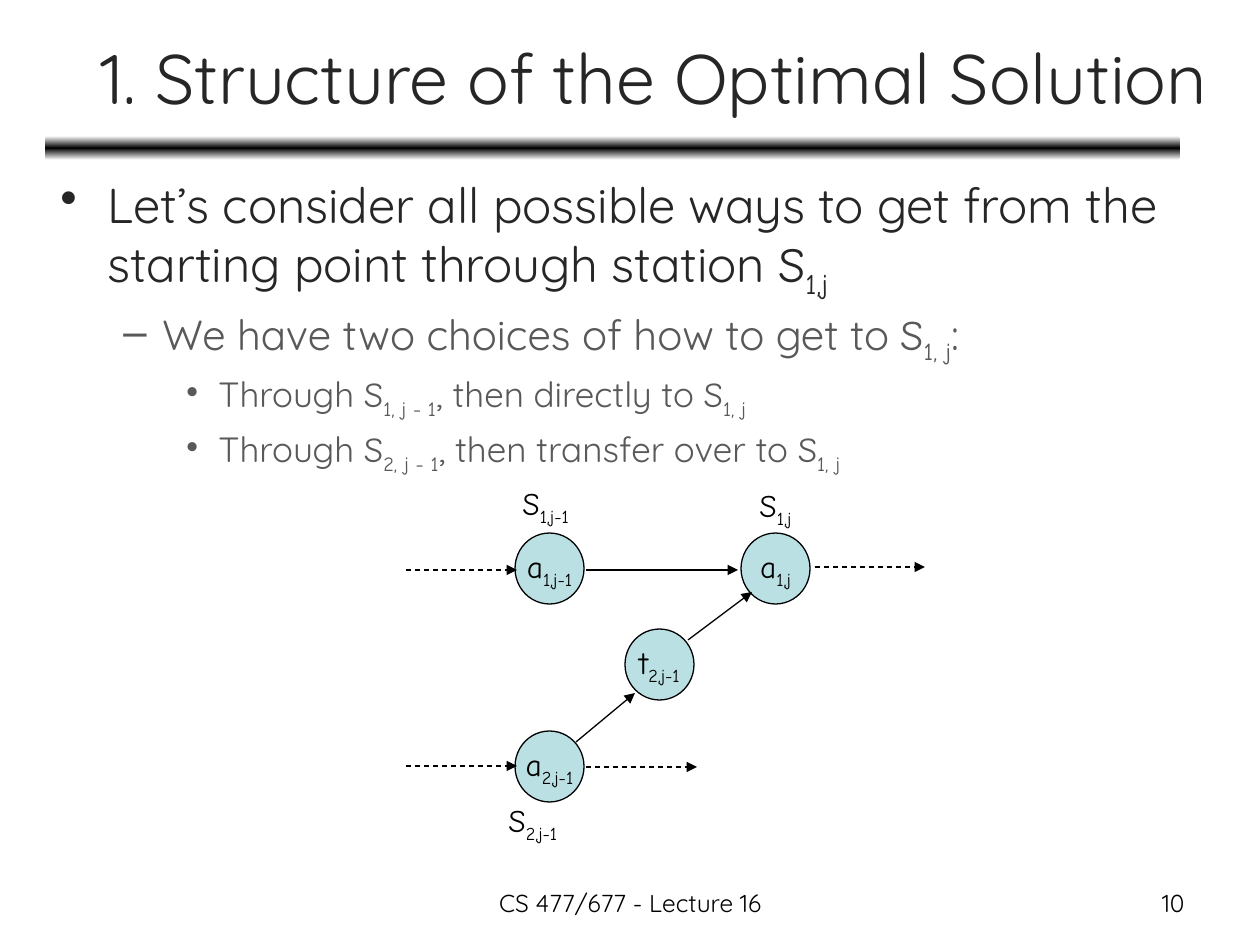
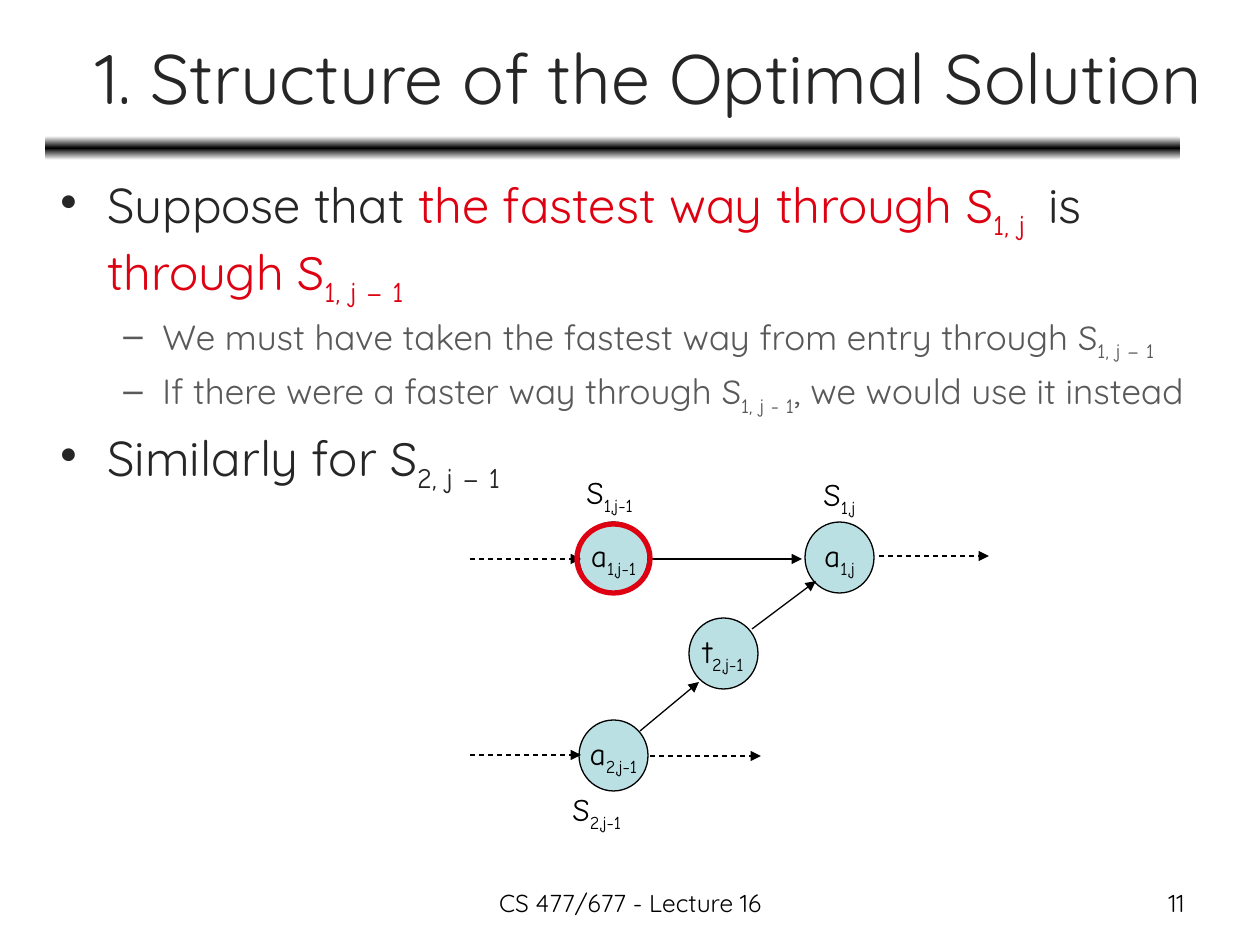
from copy import deepcopy
from dataclasses import dataclass
from typing import Optional

from pptx import Presentation, util as u
from pptx.dml.color import RGBColor
from pptx.enum import dml, shapes, text
from pptx.oxml.ns import qn
from lxml import etree

SCALE = 914400 / 126  # EMU in one pixel


@dataclass(frozen=True)
class Theme:
    """Colours, fonts and type sizes of the deck."""
    black: str = "000000"
    white: str = "FFFFFF"
    heading: str = "262626"
    detail: str = "595959"
    accent: str = "DD0111"
    node: str = "BBE0E3"
    body_font: str = "Quicksand"
    math_font: str = "Comic Neue"
    title_size: int = 40
    point_size: int = 28
    label_size: int = 18
    footer_size: int = 14
    thin: float = 0.75
    thick: float = 3


@dataclass(frozen=True)
class Span:
    """A piece of text in one style."""
    words: str
    color: Optional[str] = None
    math: bool = False
    sub: bool = False


THEME = Theme()
LEFT, CENTER, RIGHT = text.PP_ALIGN.LEFT, text.PP_ALIGN.CENTER, text.PP_ALIGN.RIGHT
# Left margin, hanging indent and bullet of each outline level
LEVELS = [(47, 47, "•"), (102, 39, "–"), (158, 32, "•")]

# Diagram places, in pixels of the first slide
NODE_SIZE = (69, 71)
NODES = [("a", "1,j", 741, 533), ("a", "1,j-1", 515, 533),
         ("a", "2,j-1", 515, 731), ("t", "2,j-1", 625, 629)]
LABELS = [("1,j", 747, 480, 71), ("1,j-1", 510, 478, 89), ("2,j-1", 496, 795, 93)]
SOLID_ARROWS = [(586, 570, 738, 570), (576, 742, 635, 693), (688, 640, 752, 592)]
DASHED_ARROWS = [(406, 570, 517, 570), (406, 766, 517, 766),
                 (815, 567, 925, 567), (586, 767, 697, 767)]


def px(length):
    """Turn pixels into EMU."""
    return u.Emu(round(length * SCALE))


def rgb(color):
    """Turn a hex string into a colour."""
    return RGBColor.from_string(color)


def symbol(letter, index, color=None):
    """Return the spans of a variable with its subscript."""
    return [Span(letter, color, math=True), Span(index, color, math=True, sub=True)]


def style(font, size, color, name=THEME.body_font):
    """Set size, colour and typeface of a font."""
    font.size, font.name = u.Pt(size), name
    font.color.rgb = rgb(color)


def write(para, spans, size, color, align=LEFT):
    """Fill a paragraph with spans."""
    para.alignment = align
    all_math = all(span.math for span in spans)
    style(para.font, size, color, THEME.math_font if all_math else THEME.body_font)
    for span in spans:
        run = para.add_run()
        run.text = span.words
        style(run.font, size, span.color or color,
              THEME.math_font if span.math else THEME.body_font)
        if span.sub:
            run.font._element.set("baseline", "-25000")


def add_text(parent, area, spans, size, color=THEME.black, align=LEFT,
             wrap=True, anchor=text.MSO_ANCHOR.TOP):
    """Add a text box with one paragraph."""
    box = parent.add_textbox(*map(px, area))
    box.text_frame.word_wrap = wrap
    box.text_frame.vertical_anchor = anchor
    write(box.text_frame.paragraphs[0], spans, size, color, align)


def add_outline(page, area, items):
    """Add the bulleted body; items are (level, size, spans)."""
    frame = page.shapes.add_textbox(*map(px, area)).text_frame
    frame.word_wrap = True
    for number, (level, size, spans) in enumerate(items):
        para = frame.add_paragraph() if number else frame.paragraphs[0]
        margin, hanging, bullet = LEVELS[level]
        para.level = level
        para.space_before = u.Pt(size * 0.2)
        props = para._p.get_or_add_pPr()
        props.set("marL", str(px(margin)))
        props.set("indent", str(-px(hanging)))
        etree.SubElement(props, qn("a:buChar")).set("char", bullet)
        write(para, spans, size, THEME.detail if level else THEME.heading)


def add_band(page):
    """Add the shaded band under the title."""
    band = page.shapes.add_shape(shapes.MSO_SHAPE.ROUNDED_RECTANGLE,
                                 *map(px, (45, 136, 1135, 24)))
    band.shadow.inherit = False
    band.line.fill.background()
    band.fill.gradient()
    band.fill.gradient_angle = 90
    stops = band._element.spPr.find(qn("a:gradFill")).find(qn("a:gsLst"))
    stops.append(deepcopy(stops[0]))
    colors = (THEME.white, THEME.black, THEME.white)
    for number, (stop, color) in enumerate(zip(band.fill.gradient_stops, colors)):
        stop.position = number / 2
        stop.color.rgb = rgb(color)


def add_circle(parent, area, fill=None, line=THEME.black, width=THEME.thin):
    """Add an ellipse, hollow unless a fill is given."""
    circle = parent.add_shape(shapes.MSO_SHAPE.OVAL, *map(px, area))
    circle.shadow.inherit = False
    if fill:
        circle.fill.solid()
        circle.fill.fore_color.rgb = rgb(fill)
    else:
        circle.fill.background()
    circle.line.color.rgb = rgb(line)
    circle.line.width = u.Pt(width)
    return circle


def add_node(parent, letter, index, left, top):
    """Add a circle that holds a variable."""
    frame = add_circle(parent, (left, top, *NODE_SIZE), THEME.node).text_frame
    frame.word_wrap = False
    frame.vertical_anchor = text.MSO_ANCHOR.MIDDLE
    write(frame.paragraphs[0], symbol(letter, index), THEME.label_size,
          THEME.black, CENTER)


def add_arrow(parent, ends, dashed=False):
    """Add a thin arrow."""
    arrow = parent.add_connector(shapes.MSO_CONNECTOR.STRAIGHT, *map(px, ends))
    arrow.line.color.rgb = rgb(THEME.black)
    arrow.line.width = u.Pt(THEME.thin)
    if dashed:
        arrow.line.dash_style = dml.MSO_LINE.DASH
    tip = etree.SubElement(arrow.line._get_or_add_ln(), qn("a:tailEnd"))
    tip.set("type", "triangle")
    etree.SubElement(arrow._element.spPr, qn("a:effectLst"))


def add_diagram(page, dx=0, dy=0):
    """Add the station graph, moved by dx and dy."""
    parent = page.shapes.add_group_shape().shapes
    for letter, index, left, top in NODES:
        add_node(parent, letter, index, left + dx, top + dy)
    for index, left, top, width in LABELS:
        add_text(parent, (left + dx, top + dy, width, 50), symbol("S", index),
                 THEME.label_size, wrap=False)
    for arrows, dashed in ((SOLID_ARROWS, False), (DASHED_ARROWS, True)):
        for x1, y1, x2, y2 in arrows:
            add_arrow(parent, (x1 + dx, y1 + dy, x2 + dx, y2 + dy), dashed)


def add_page(deck, number, title_width):
    """Add a slide with title, band and footer."""
    page = deck.slides.add_slide(deck.slide_layouts[6])
    add_band(page)
    add_text(page.shapes, (47, 14, title_width, 125),
             [Span("1. Structure of the Optimal Solution")], THEME.title_size,
             THEME.heading, CENTER, anchor=text.MSO_ANCHOR.MIDDLE)
    add_text(page.shapes, (431, 882, 399, 44), [Span("CS 477/677 - Lecture 16")],
             THEME.footer_size, align=CENTER)
    add_text(page.shapes, (903, 882, 294, 44), [Span(str(number))],
             THEME.footer_size, align=RIGHT)
    return page


def add_choices_page(deck):
    """Build the slide on the two ways to reach a station."""
    page = add_page(deck, 10, 1213)
    add_outline(page, (48, 168, 1142, 699), [
        (0, THEME.point_size, [
            Span("Let’s consider all possible ways to get from the "
                 "starting point through station "), *symbol("S", "1,j")]),
        (1, 24, [Span("We have two choices of how to get to "),
                 *symbol("S", "1, j"), Span(":")]),
        (2, 20, [Span("Through "), *symbol("S", "1, j - 1"),
                 Span(", then directly to "), *symbol("S", "1, j")]),
        (2, 20, [Span("Through "), *symbol("S", "2, j - 1"),
                 Span(", then transfer over to "), *symbol("S", "1, j")]),
    ])
    add_diagram(page)


def add_fastest_page(deck):
    """Build the slide on the fastest way, with one station ringed."""
    page = add_page(deck, 11, 1203)
    red = THEME.accent
    add_outline(page, (48, 168, 1177, 699), [
        (0, THEME.point_size, [
            Span("Suppose that "), Span("the fastest way through ", red),
            *symbol("S", "1, j ", red), Span(" is "),
            Span("through ", red), *symbol("S", "1, j – 1", red)]),
        (1, 20, [Span("We must have taken the fastest way from entry through "),
                 *symbol("S", "1, j – 1")]),
        (1, 20, [Span("If there were a faster way through "),
                 *symbol("S", "1, j - 1"), Span(", we would use it instead")]),
        (0, THEME.point_size, [Span("Similarly for "), *symbol("S", "2, j – 1")]),
    ])
    add_diagram(page, 64, -11)
    add_circle(page.shapes, (577, 524, 73, 69), line=red, width=THEME.thick)


def main():
    """Build and save the deck."""
    deck = Presentation()
    deck.slide_width, deck.slide_height = px(1260), px(945)
    add_choices_page(deck)
    add_fastest_page(deck)
    deck.save("out.pptx")


main()
